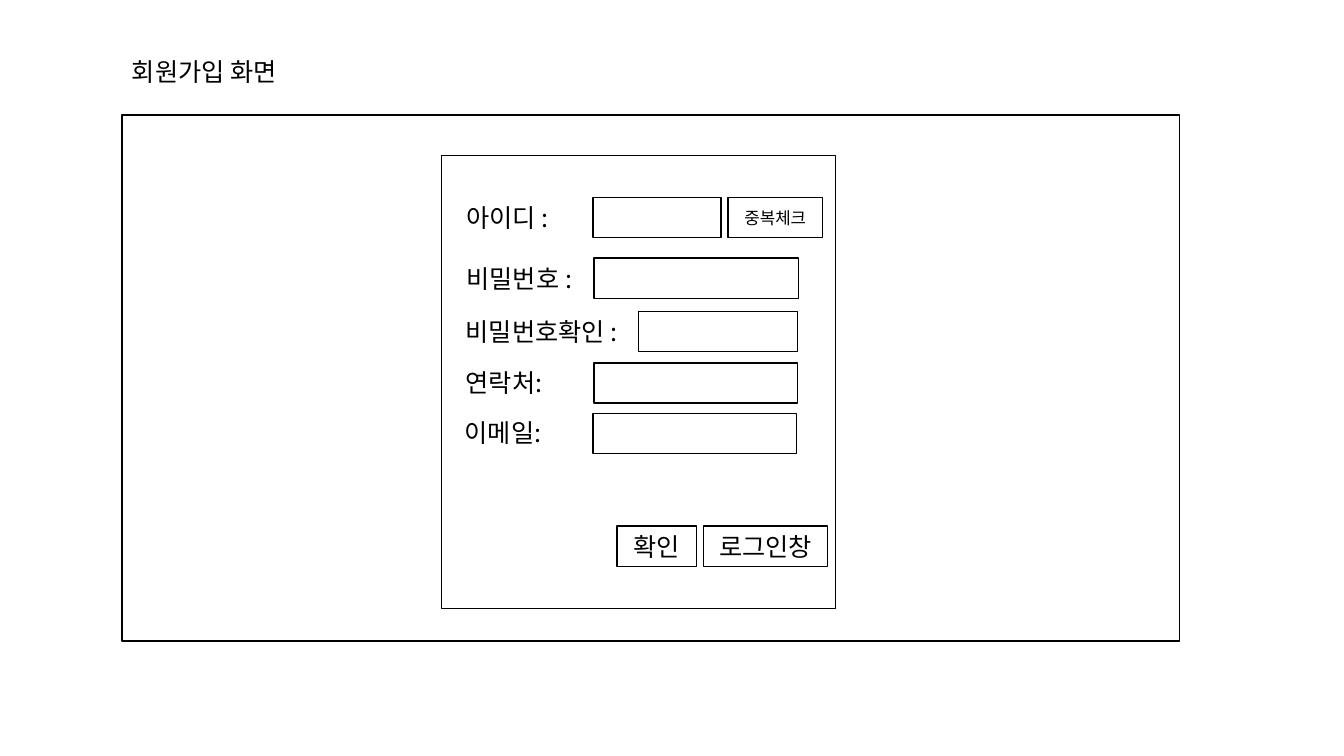
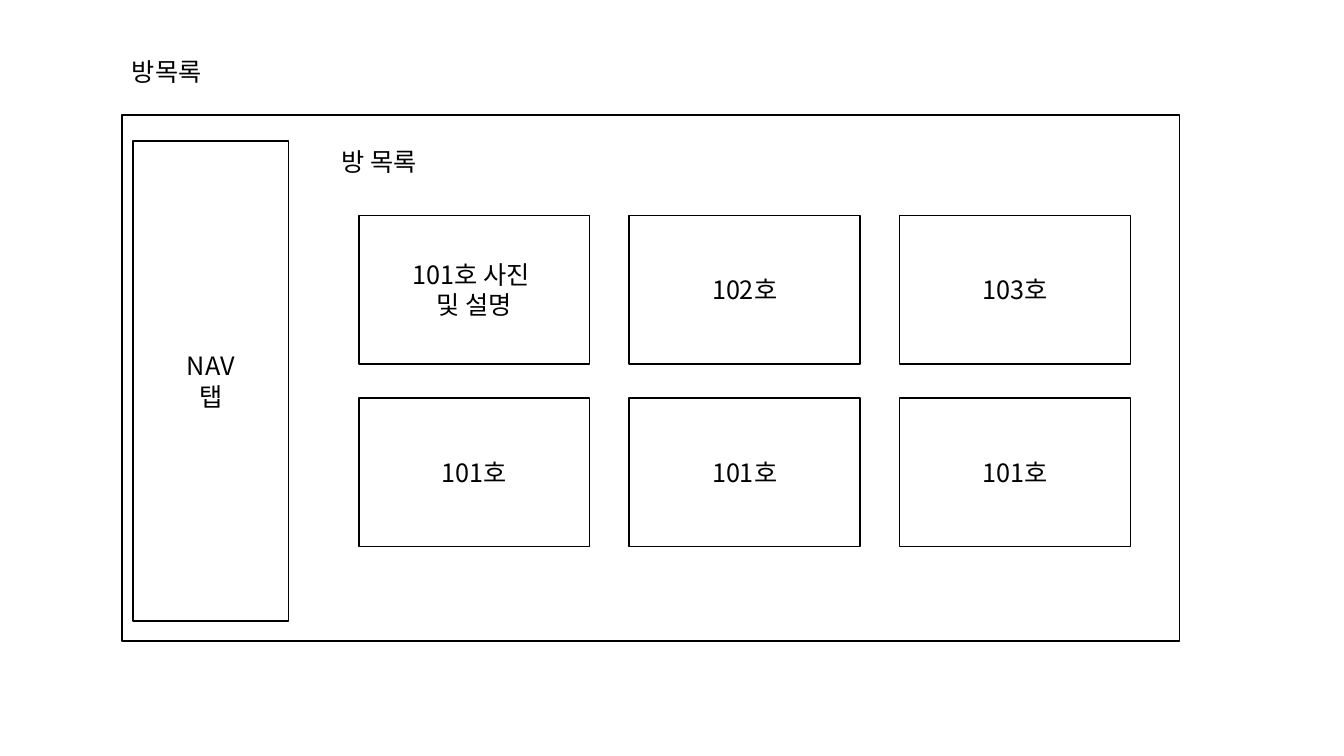
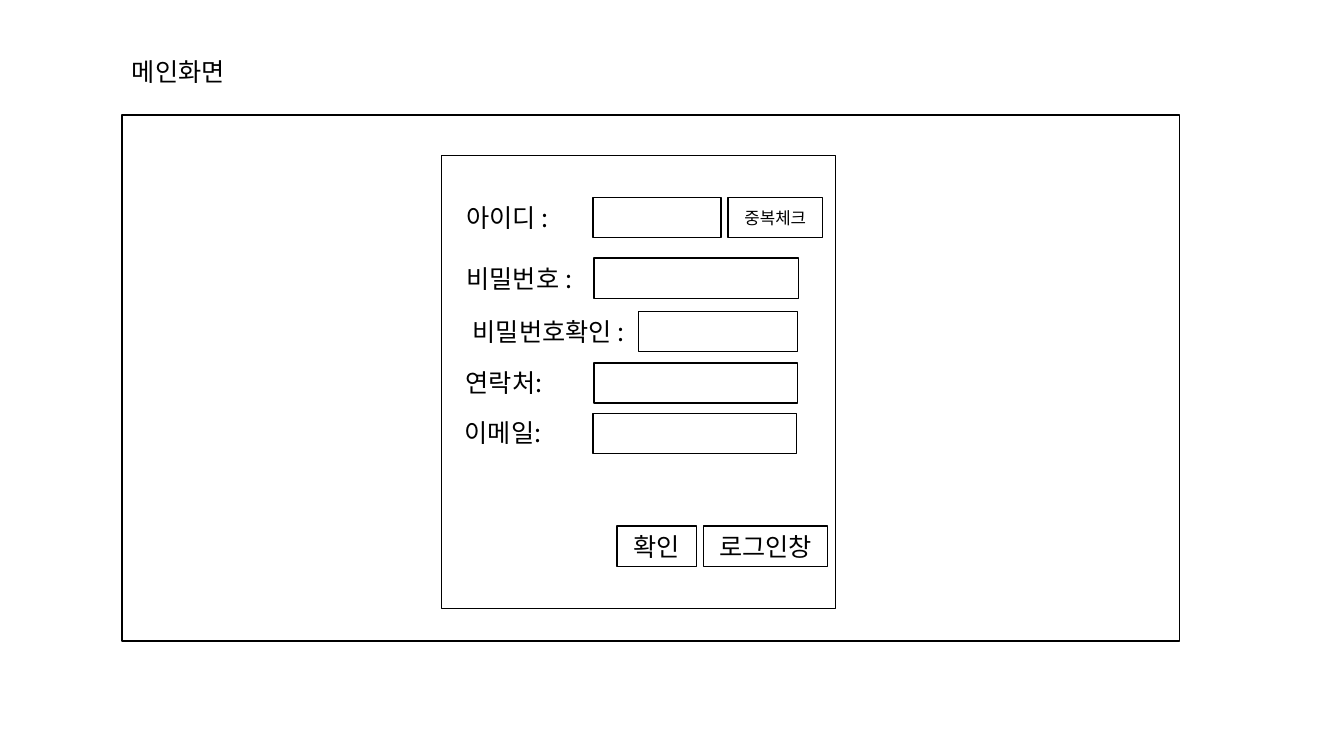
"""Build three wireframe slides: sign-up form, room list and main screen."""
from lxml import etree
from pptx import Presentation, util as u
from pptx.dml import color
from pptx.enum import shapes, text
from pptx.oxml import ns

COLOURS = {"ink": "000000", "paper": "FFFFFF"}
FONT = "Noto Sans CJK KR"
BODY, SMALL = 18, 12
ROW = 0.4

SIGN_UP, ROOM_LIST, MAIN = "회원가입 화면", "방목록", "메인화면"
TITLE_WIDTHS = {SIGN_UP: 1.81, ROOM_LIST: 0.96, MAIN: 1.21}
FRAME = (1.21, 1.14, 10.49, 5.22)
TITLE_TOP = 0.51

FORM = (4.38, 1.54, 3.91, 4.5)
FIELDS = [
    ("아이디 :", 4.53, 1.96, 1.1, 5.88, 1.96, 1.27),
    ("비밀번호 :", 4.53, 2.56, 1.36, 5.89, 2.56, 2.03),
    ("비밀번호확인 :", 4.52, 3.09, 1.86, 6.33, 3.09, 1.58),
    ("연락처:", 4.52, 3.59, 1.02, 5.89, 3.6, 2.02),
    ("이메일:", 4.51, 4.09, 1.02, 5.88, 4.1, 2.02),
]
BUTTONS = [
    ("확인", 6.12, 5.22, 0.79, BODY),
    ("로그인창", 6.98, 5.22, 1.23, BODY),
    ("중복체크", 7.22, 1.96, 0.94, SMALL),
]
MAIN_SHIFTS = {"비밀번호확인 :": 0.07}

NAV = (["NAV", "탭"], (1.32, 1.4, 1.54, 4.76))
LIST_HEADING = ("방 목록", 3.29, 1.4, 1.05)
ROOMS = [
    [["101호 사진 ", "및 설명"], ["102호"], ["103호"]],
    [["101호"], ["101호"], ["101호"]],
]
ROOM_LEFT, ROOM_TOP = 3.56, 2.14
ROOM_WIDTH, ROOM_HEIGHT = 2.29, 1.47
COLUMN_STEP, ROW_STEP = 2.68, 1.81


def rgb(name):
    return color.RGBColor.from_string(COLOURS[name])


def write(frame, lines, size=BODY, align=text.PP_ALIGN.LEFT):
    for index, line in enumerate(lines):
        paragraph = frame.paragraphs[0] if index == 0 else frame.add_paragraph()
        paragraph.alignment = align
        run = paragraph.add_run()
        run.text = line
        run.font.size = u.Pt(size)
        run.font.name = FONT
        run.font.color.rgb = rgb("ink")
        east_asian = etree.SubElement(run.font._element, ns.qn("a:ea"))
        east_asian.set("typeface", FONT)


def box(slide, place, lines=(), size=BODY):
    outline = slide.shapes.add_shape(
        shapes.MSO_SHAPE.RECTANGLE, *(u.Inches(length) for length in place))
    outline.shadow.inherit = False
    outline.fill.background()
    outline.line.color.rgb = rgb("ink")
    outline.line.width = u.Pt(1)
    outline.text_frame.vertical_anchor = text.MSO_ANCHOR.MIDDLE
    write(outline.text_frame, lines, size, text.PP_ALIGN.CENTER)


def label(slide, words, left, top, width):
    place = (left, top, width, ROW)
    frame = slide.shapes.add_textbox(*(u.Inches(length) for length in place)).text_frame
    frame.word_wrap = False
    frame.auto_size = text.MSO_AUTO_SIZE.SHAPE_TO_FIT_TEXT
    write(frame, [words])


def add_screen(deck, title):
    slide = deck.slides.add_slide(deck.slide_layouts[6])
    slide.background.fill.solid()
    slide.background.fill.fore_color.rgb = rgb("paper")
    box(slide, FRAME)
    label(slide, title, FRAME[0], TITLE_TOP, TITLE_WIDTHS[title])
    return slide


def add_form(slide, shifts):
    box(slide, FORM)
    for name, left, top, width, input_left, input_top, input_width in FIELDS:
        box(slide, (input_left, input_top, input_width, ROW))
        label(slide, name, left + shifts.get(name, 0), top, width)
    for name, left, top, width, size in BUTTONS:
        box(slide, (left, top, width, ROW), [name], size)


def add_rooms(slide):
    nav_lines, nav_place = NAV
    box(slide, nav_place, nav_lines)
    label(slide, *LIST_HEADING)
    for row, rooms in enumerate(ROOMS):
        for column, lines in enumerate(rooms):
            left = ROOM_LEFT + column * COLUMN_STEP
            top = ROOM_TOP + row * ROW_STEP
            box(slide, (left, top, ROOM_WIDTH, ROOM_HEIGHT), lines)


deck = Presentation()
deck.slide_width, deck.slide_height = u.Inches(13.33), u.Inches(7.5)
add_form(add_screen(deck, SIGN_UP), {})
add_rooms(add_screen(deck, ROOM_LIST))
add_form(add_screen(deck, MAIN), MAIN_SHIFTS)
deck.save("out.pptx")
